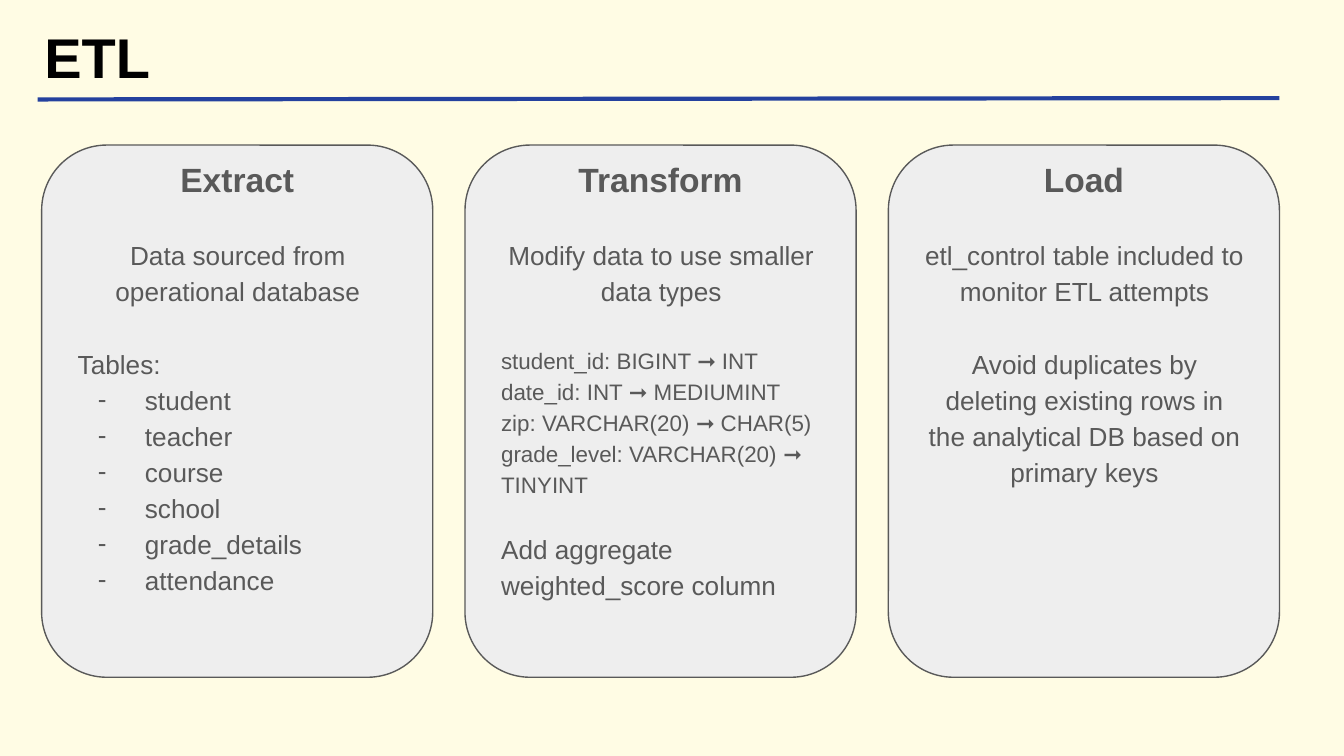
"""Build the ETL slide: a ruled title above three cards for extract, transform and load."""
from lxml import etree
from pptx import Presentation
from pptx.dml.color import RGBColor
from pptx.enum.shapes import MSO_CONNECTOR, MSO_SHAPE
from pptx.enum.text import MSO_ANCHOR, MSO_AUTO_SIZE, PP_ALIGN
from pptx.oxml.ns import qn
from pptx.util import Inches, Pt

ROUNDED = MSO_SHAPE.ROUNDED_RECTANGLE
STRAIGHT = MSO_CONNECTOR.STRAIGHT
TOP = MSO_ANCHOR.TOP
NO_FIT = MSO_AUTO_SIZE.NONE
LEFT, CENTER = PP_ALIGN.LEFT, PP_ALIGN.CENTER
FONT = "Arial"
GREY = "595959"
FIRST_CARD, CARD_STEP, CARD_TOP = 0.31, 3.15, 1.08


def rgb(value):
    return RGBColor.from_string(value)


def write(frame, lines, line_spacing=None, bold=False, color=GREY):
    frame.word_wrap = True
    frame.auto_size = NO_FIT
    frame.vertical_anchor = TOP
    frame.margin_left = frame.margin_right = Inches(0.1)
    frame.margin_top = frame.margin_bottom = Inches(0.1)
    for index, (text, size, align, gap, dashed) in enumerate(lines):
        paragraph = frame.add_paragraph() if index else frame.paragraphs[0]
        paragraph.alignment = align
        paragraph.space_before = Pt(gap)
        if line_spacing:
            paragraph.line_spacing = line_spacing
        if dashed:
            properties = paragraph._p.get_or_add_pPr()
            properties.set("marL", str(Inches(0.5)))
            properties.set("indent", str(Inches(-0.35)))
            bullet_color = etree.SubElement(properties, qn("a:buClr"))
            etree.SubElement(bullet_color, qn("a:srgbClr"), val=GREY)
            etree.SubElement(properties, qn("a:buFont"), typeface=FONT)
            etree.SubElement(properties, qn("a:buChar"), char="-")
        run = paragraph.add_run()
        run.text = text
        run.font.name = FONT
        run.font.size = Pt(size)
        run.font.bold = bold
        run.font.color.rgb = rgb(color)


tables = ["student", "teacher", "course", "school", "grade_details", "attendance"]
type_changes = [
    "date_id: INT ➞ MEDIUMINT",
    "zip: VARCHAR(20) ➞ CHAR(5)",
    "grade_level: VARCHAR(20) ➞ TINYINT",
]
stages = [
    ("Extract", [
        ("Data sourced from operational database", 14, CENTER, 0, False),
        ("Tables:", 14, LEFT, 19.3, False),
        *[(table, 14, LEFT, 0, True) for table in tables],
    ]),
    ("Transform", [
        ("Modify data to use smaller data types", 14, CENTER, 0, False),
        ("student_id: BIGINT ➞ INT", 12, LEFT, 19.3, False),
        *[(change, 12, LEFT, 0, False) for change in type_changes],
        ("Add aggregate weighted_score column", 14, LEFT, 16.5, False),
    ]),
    ("Load", [
        ("etl_control table included to monitor ETL attempts", 14, CENTER, 0, False),
        ("Avoid duplicates by deleting existing rows in the analytical DB "
         "based on primary keys", 14, CENTER, 19.3, False),
    ]),
]

deck = Presentation()
deck.slide_width, deck.slide_height = Inches(10), Inches(10 * 9 / 16)
slide = deck.slides.add_slide(deck.slide_layouts[5])
slide.background.fill.solid()
slide.background.fill.fore_color.rgb = rgb("FFFCE4")

title = slide.shapes.title
title.left, title.top = Inches(0.23), Inches(0.07)
title.width, title.height = Inches(8.36), Inches(0.63)
write(title.text_frame, [("ETL", 30, LEFT, 0, False)], bold=True, color="000000")

title_rule = slide.shapes.add_connector(
    STRAIGHT, Inches(0.28), Inches(0.74), Inches(9.52), Inches(0.73))
title_rule.line.color.rgb = rgb("24419E")
title_rule.line.width = Pt(2.25)
etree.SubElement(title_rule._element.spPr, qn("a:effectLst"))

for column, (stage, details) in enumerate(stages):
    left = FIRST_CARD + column * CARD_STEP
    card = slide.shapes.add_shape(
        ROUNDED, Inches(left), Inches(CARD_TOP), Inches(2.91), Inches(3.96))
    card.shadow.inherit = False
    card.fill.solid()
    card.fill.fore_color.rgb = rgb("EEEEEE")
    card.line.color.rgb = rgb(GREY)
    card.line.width = Pt(0.75)

    heading = slide.shapes.add_textbox(
        Inches(left + 0.23), Inches(CARD_TOP), Inches(2.45), Inches(0.45))
    write(heading.text_frame, [(stage, 18, CENTER, 0, False)], bold=True)

    description = slide.shapes.add_textbox(
        Inches(left + 0.17), Inches(1.65), Inches(2.58), Inches(3.1))
    write(description.text_frame, details, line_spacing=1.15)

deck.save("out.pptx")
